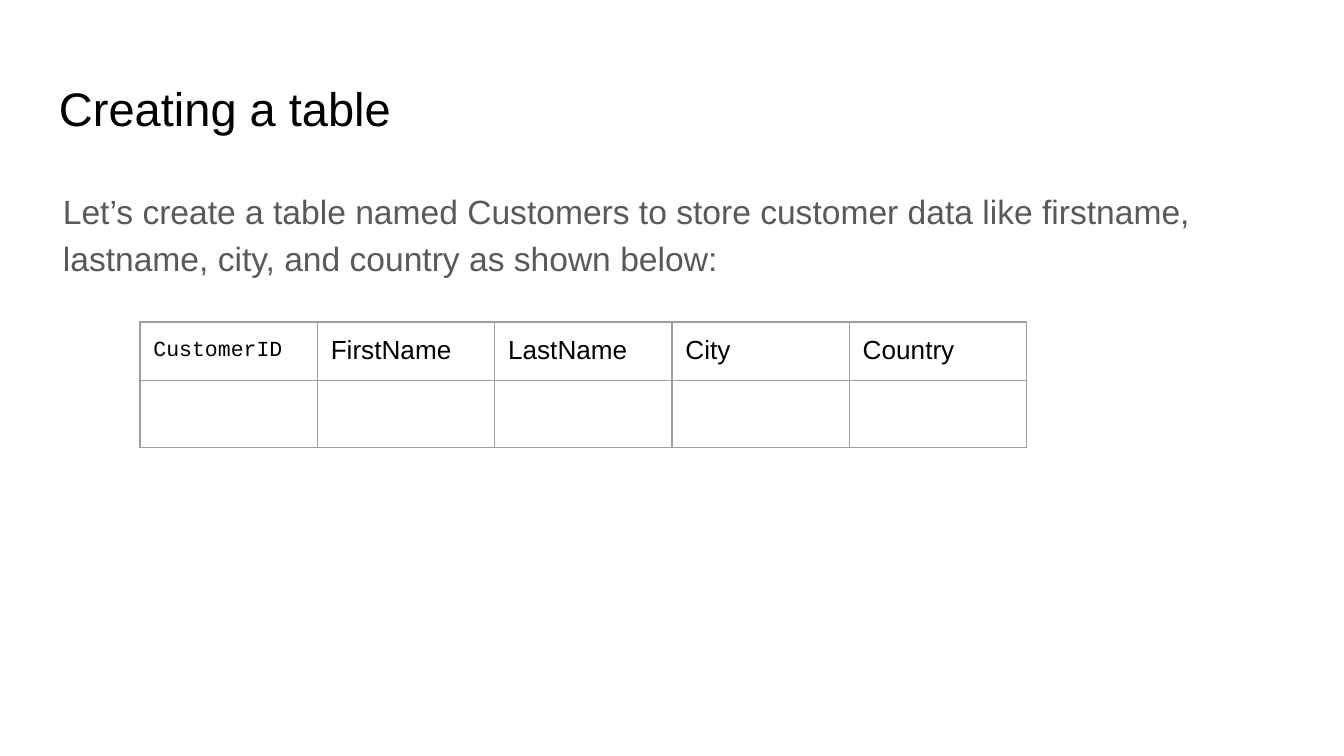
from lxml import etree
from pptx import Presentation
from pptx.dml.color import RGBColor
from pptx.enum.text import MSO_ANCHOR
from pptx.oxml.ns import qn
from pptx.util import Pt

TOP = MSO_ANCHOR.TOP
MIDDLE = MSO_ANCHOR.MIDDLE
COLORS = {"black": "000000", "body": "595959", "border": "9E9E9E"}
INSET = Pt(7.2)


def style(para, size, color, font="Arial"):
    for run in para.runs:
        run.font.size = Pt(size)
        run.font.name = font
        run.font.color.rgb = RGBColor.from_string(COLORS[color])


def border(cell):
    props = cell._tc.get_or_add_tcPr()
    for tag in ("a:lnL", "a:lnR", "a:lnT", "a:lnB"):
        line = etree.SubElement(props, qn(tag), w=str(Pt(0.75)))
        fill = etree.SubElement(line, qn("a:solidFill"))
        etree.SubElement(fill, qn("a:srgbClr"), val=COLORS["border"])


prs = Presentation()
prs.slide_width = Pt(720)
prs.slide_height = Pt(405)
slide = prs.slides.add_slide(prs.slide_layouts[6])

texts = [
    ("Creating a table", 24.5, 35, 45.1, 25.2, "black", 1, MIDDLE),
    ("Let’s create a table named Customers to store customer data like "
     "firstname, lastname, city, and country as shown below:",
     26.6, 92, 269, 18, "body", 1.15, TOP),
]
for text, left, top, height, size, color, spacing, anchor in texts:
    box = slide.shapes.add_textbox(Pt(left), Pt(top), Pt(671), Pt(height))
    frame = box.text_frame
    frame.word_wrap = True
    frame.vertical_anchor = anchor
    frame.margin_left = frame.margin_right = INSET
    frame.margin_top = frame.margin_bottom = INSET
    frame.text = text
    para = frame.paragraphs[0]
    para.line_spacing = spacing
    style(para, size, color)

heads = ["CustomerID", "FirstName", "LastName", "City", "Country"]
width, height = 95, 30.2
frame = slide.shapes.add_table(
    2, len(heads), Pt(75), Pt(172.5), Pt(width * len(heads)), Pt(height * 2))
table = frame.table
table.first_row = False
table.horz_banding = False
for col in table.columns:
    col.width = Pt(width)
for row in table.rows:
    row.height = Pt(height)
for cell in table.iter_cells():
    cell.margin_left = cell.margin_right = INSET
    cell.margin_top = cell.margin_bottom = INSET
    border(cell)
    cell.fill.background()

for col, head in enumerate(heads):
    cell = table.cell(0, col)
    cell.text = head
    style(cell.text_frame.paragraphs[0], 14, "black")

first = table.cell(0, 0).text_frame.paragraphs[0]
first.line_spacing = 1.15
first.space_after = Pt(12)
style(first, 11.5, "black", "Courier New")

prs.save("out.pptx")
